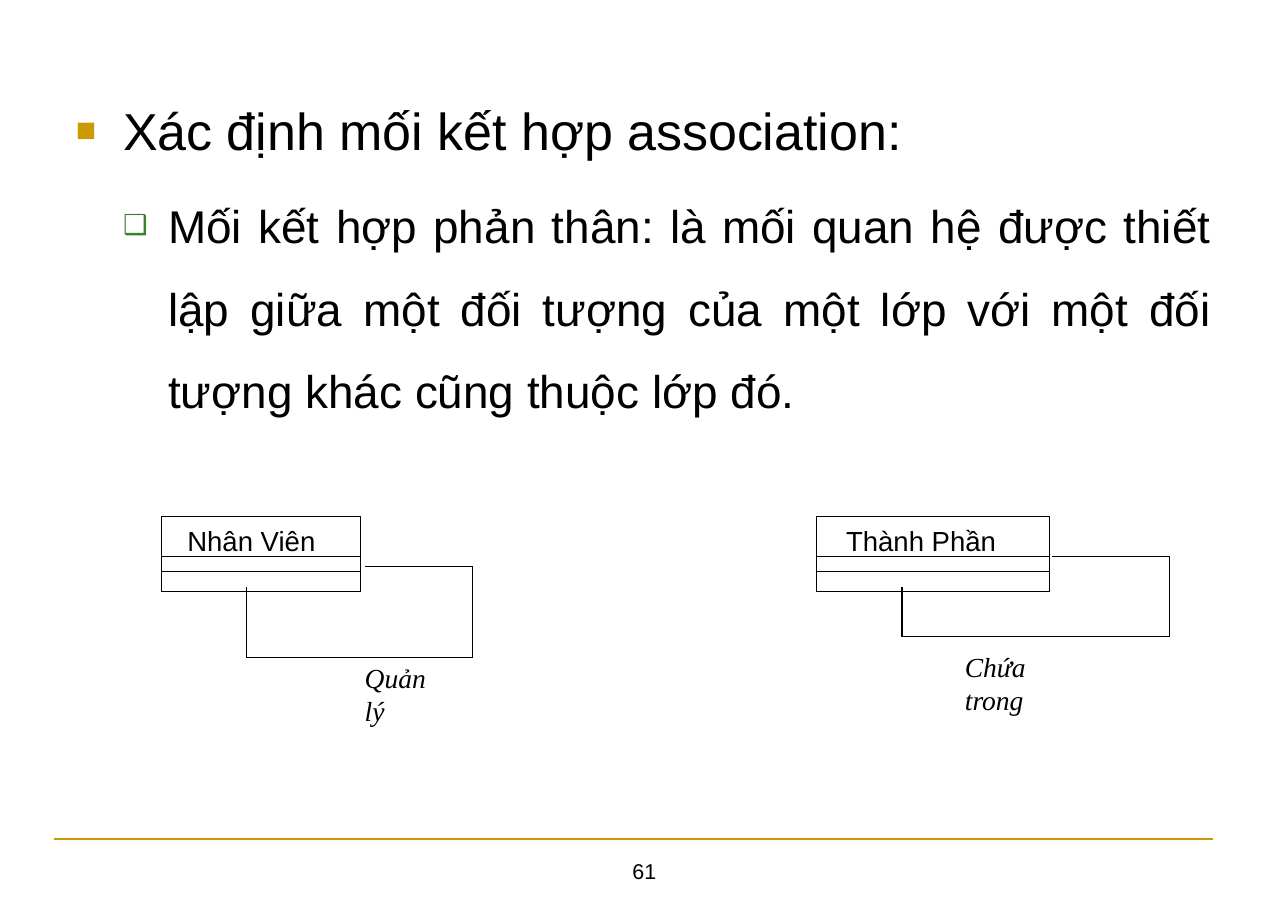
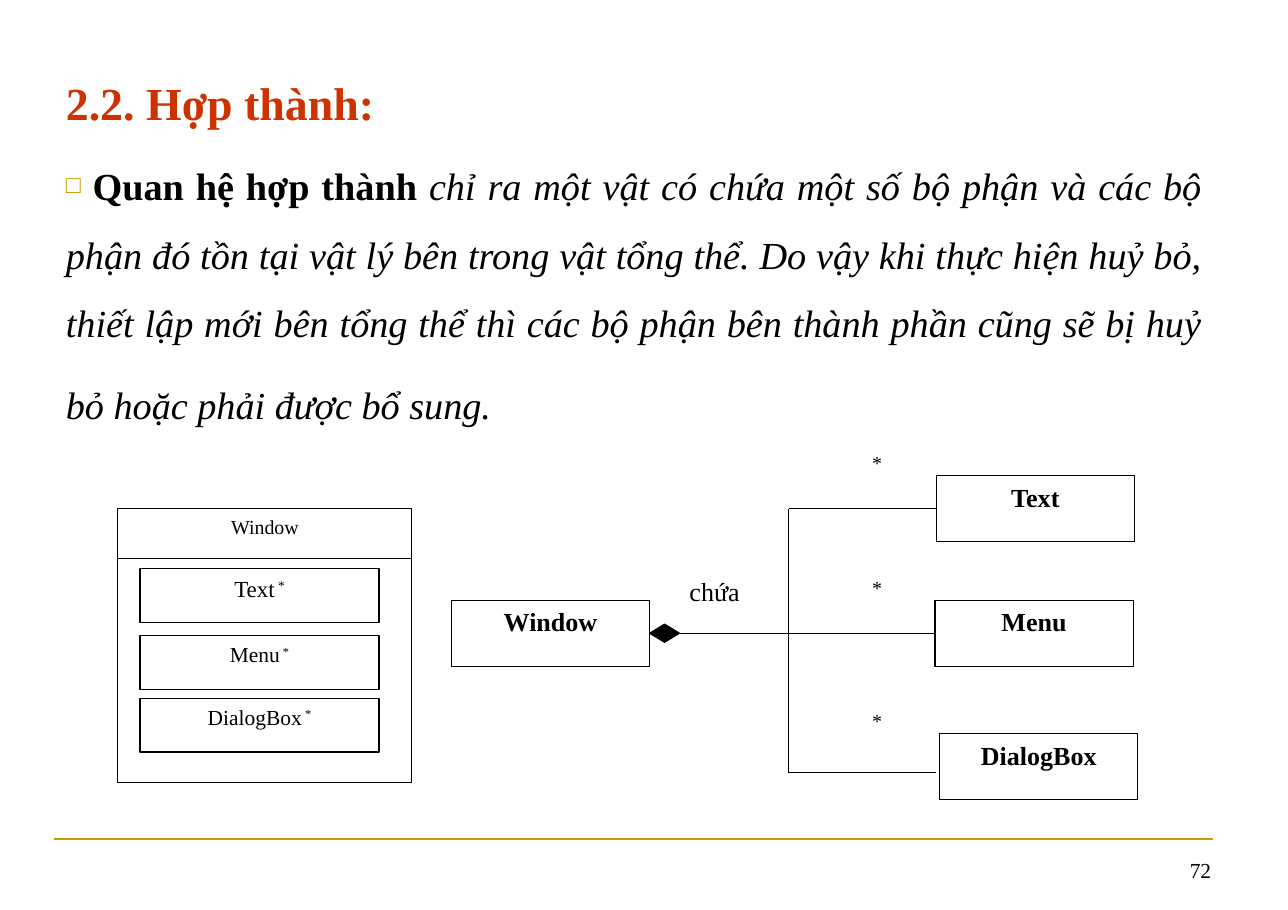
import itertools

import pptx
import pptx.dml.color
import pptx.enum.shapes
import pptx.enum.text
import pptx.oxml
import pptx.oxml.ns
import pptx.util

Cm, Pt = pptx.util.Cm, pptx.util.Pt
ALIGN = pptx.enum.text.PP_ALIGN
ANCHOR = pptx.enum.text.MSO_ANCHOR
SHAPE = pptx.enum.shapes.MSO_SHAPE
STRAIGHT = pptx.enum.shapes.MSO_CONNECTOR.STRAIGHT

COLORS = {"ink": "000000", "paper": "FFFFFF", "gold": "CC9900",
          "green": "3B812F", "heading": "CC3300"}
SANS, SERIF = "Arial", "Times New Roman"
WIDE_INSETS = (0.28, 0.15)
BOX_INSETS = (0.25, 0.13)


def rgb(name):
    return pptx.dml.color.RGBColor.from_string(COLORS[name])


def style(paragraph, size, font, color="ink", bold=None, italic=None, align=ALIGN.LEFT):
    paragraph.alignment = align
    paragraph.font.size = Pt(size)
    paragraph.font.name = font
    paragraph.font.color.rgb = rgb(color)
    paragraph.font.bold = bold
    paragraph.font.italic = italic


def set_frame(frame, insets, anchor=ANCHOR.TOP):
    frame.word_wrap = True
    frame.vertical_anchor = anchor
    frame.margin_left = frame.margin_right = Cm(insets[0])
    frame.margin_top = frame.margin_bottom = Cm(insets[1])


def add_text(slide, place, text, size, font, insets=WIDE_INSETS, anchor=ANCHOR.TOP, **look):
    frame = slide.shapes.add_textbox(*map(Cm, place)).text_frame
    set_frame(frame, insets, anchor)
    frame.text = text
    style(frame.paragraphs[0], size, font, **look)


def add_box(slide, place, kind=SHAPE.RECTANGLE, fill="paper", weight=0.75):
    box = slide.shapes.add_shape(kind, *map(Cm, place))
    box.shadow.inherit = False
    if fill:
        box.fill.solid()
        box.fill.fore_color.rgb = rgb(fill)
    else:
        box.fill.background()
    box.line.color.rgb = rgb("ink")
    box.line.width = Pt(weight)
    return box


def add_named_box(slide, place, name, size, bold=None, mark=None):
    box = add_box(slide, place)
    set_frame(box.text_frame, BOX_INSETS)
    paragraph = box.text_frame.paragraphs[0]
    paragraph.add_run().text = name
    style(paragraph, size, SERIF, bold=bold, align=ALIGN.CENTER)
    if mark:
        superscript = paragraph.add_run()
        superscript.text = " " + mark
        superscript.font._element.set("baseline", "30000")
    return box


def add_line(slide, start, end, color="ink", weight=0.75):
    line = slide.shapes.add_connector(STRAIGHT, *map(Cm, (*start, *end)))
    line.line.color.rgb = rgb(color)
    line.line.width = Pt(weight)
    properties = line._element.spPr
    properties.append(properties.makeelement(pptx.oxml.ns.qn("a:effectLst"), {}))
    return line


def add_bullet(paragraph, symbol, color, percent, left=0, hanging=0):
    properties = paragraph._p.get_or_add_pPr()
    properties.set("marL", str(Cm(left)))
    properties.set("indent", str(-Cm(hanging)))
    ns = pptx.oxml.ns.nsdecls("a")
    for xml in (f'<a:buClr {ns}><a:srgbClr val="{COLORS[color]}"/></a:buClr>',
                f'<a:buSzPct {ns} val="{percent * 1000}"/>',
                f'<a:buFont {ns} typeface="{SANS}"/>',
                f'<a:buChar {ns} char="{symbol}"/>'):
        properties.append(pptx.oxml.parse_xml(xml))


def add_body(slide, place):
    """Two paragraphs, justified and widely spaced."""
    frame = slide.shapes.add_textbox(*map(Cm, place)).text_frame
    set_frame(frame, WIDE_INSETS)
    lead, detail = frame.paragraphs[0], frame.add_paragraph()
    lead.line_spacing = detail.line_spacing = 1.5
    detail.space_before = Pt(6)
    return lead, detail


def add_slide(deck, number, place, font, align):
    """Blank slide with the footer rule and page number."""
    slide = deck.slides.add_slide(deck.slide_layouts[6])
    add_line(slide, (1.24, 19.35), (27.97, 19.35), "gold", 1.5)
    add_text(slide, place, number, 14, font, anchor=ANCHOR.BOTTOM, align=align)
    return slide


def add_class(slide, left, width, name, name_inset):
    top, bottom = 11.89, 13.62
    for edge in (top, 12.83, 13.18):
        box = add_box(slide, (left, edge, width, bottom - edge), fill=None, weight=0.2)
        if edge == top:
            set_frame(box.text_frame, (name_inset, 0.18))
            box.text_frame.text = name
            style(box.text_frame.paragraphs[0], 18, SANS)


def add_self_link(slide, points, label, label_place):
    for start, end in itertools.pairwise(points):
        add_line(slide, start, end)
    add_text(slide, label_place, label, 18, SERIF, italic=True)


def build_association(deck):
    slide = add_slide(deck, "61", (10.16, 19.13, 9.4, 1.4), SANS, ALIGN.CENTER)
    lead, detail = add_body(slide, (1.47, 1.4, 26.75, 8.86))
    lead.add_run().text = "Xác định mối kết hợp association:"
    add_bullet(lead, "■", "gold", 65, 1.09, 1.09)
    style(lead, 34, SANS, align=ALIGN.JUSTIFY)
    detail.level = 1
    detail.add_run().text = ("Mối kết hợp phản thân: là mối quan hệ được thiết lập giữa một "
                             "đối tượng của một lớp với một đối tượng khác cũng thuộc lớp đó.")
    add_bullet(detail, "❑", "green", 60, 2.13, 1.04)
    style(detail, 30, SANS, align=ALIGN.JUSTIFY)

    # Classes linked to themselves
    add_class(slide, 3.71, 4.6, "Nhân Viên", 0.61)
    add_self_link(slide, [(5.69, 13.54), (5.69, 15.16), (10.9, 15.16),
                          (10.9, 13.06), (8.41, 13.06)],
                  "Quản lý", (8.13, 15.09, 2.41, 1.07))
    add_class(slide, 18.82, 5.38, "Thành Phần", 0.69)
    add_self_link(slide, [(20.8, 13.54), (20.8, 14.68), (26.97, 14.68),
                          (26.97, 12.83), (24.26, 12.83)],
                  "Chứa trong", (21.97, 14.83, 3.1, 1.07))


def build_composition(deck):
    slide = add_slide(deck, "72", (21.28, 19.1, 6.93, 1.4), SERIF, ALIGN.RIGHT)
    heading, definition = add_body(slide, (1.24, 0.94, 26.75, 8.64))
    heading.add_run().text = "2.2. Hợp thành:"
    style(heading, 30, SERIF, "heading", bold=True, align=ALIGN.JUSTIFY)
    add_bullet(definition, "□", "gold", 65)
    style(definition, 25, SERIF, align=ALIGN.JUSTIFY)
    term, meaning, tail = (definition.add_run() for _ in range(3))
    term.text = " Quan hệ hợp thành "
    term.font.bold = True
    meaning.text = ("chỉ ra một vật có chứa một số bộ phận và các bộ phận đó tồn tại vật lý "
                    "bên trong vật tổng thể. Do vậy khi thực hiện huỷ bỏ, thiết lập mới bên "
                    "tổng thể thì các bộ phận bên thành phần cũng sẽ bị huỷ bỏ hoặc phải "
                    "được bổ sung.")
    meaning.font.italic = True
    tail.text = " "
    tail.font.size = Pt(30)

    # Nested notation
    add_named_box(slide, (2.72, 11.73, 6.78, 6.32), "Window", 13)
    add_line(slide, (2.72, 12.88), (9.5, 12.88))
    for name, top, size in (("Text", 13.11, 15), ("Menu", 14.66, 14), ("DialogBox", 16.1, 14)):
        add_named_box(slide, (3.23, top, 5.51, 1.24), name, size, mark="*")

    # Tree notation: whole, diamond and parts
    width, height = 4.57, 1.52
    add_named_box(slide, (10.41, 13.84, width, height), "Window", 17, bold=True)
    diamond = add_box(slide, (14.98, 14.39, 0.69, 0.42), SHAPE.FLOWCHART_DECISION, "ink")
    parts = {}
    for name, left, top in (("Text", 21.59, 10.97), ("Menu", 21.56, 13.84),
                            ("DialogBox", 21.67, 16.92)):
        parts[name] = add_named_box(slide, (left, top, width, height), name, 17, bold=True)
        add_text(slide, (20.11, top - 0.71, 1, 1), "*", 13, SERIF, (0, 0.13))
    add_text(slide, (15.9, 13.13, 2.5, 1.2), "chứa", 17, SERIF, (0, 0.13))

    # Branches
    trunk, upper, lower = 18.19, 11.73, 17.81
    add_line(slide, (trunk, upper), (trunk, lower))
    add_line(slide, (trunk, lower), (21.59, lower))
    add_line(slide, (trunk, upper), (21.59, upper)).end_connect(parts["Text"], 1)
    stem = add_line(slide, (15.67, 14.6), (21.56, 14.6))
    stem.begin_connect(diamond, 3)
    stem.end_connect(parts["Menu"], 1)


def main():
    deck = pptx.Presentation()
    deck.slide_width, deck.slide_height = Cm(29.7), Cm(20.98)
    build_association(deck)
    build_composition(deck)
    deck.save("out.pptx")


if __name__ == "__main__":
    main()
